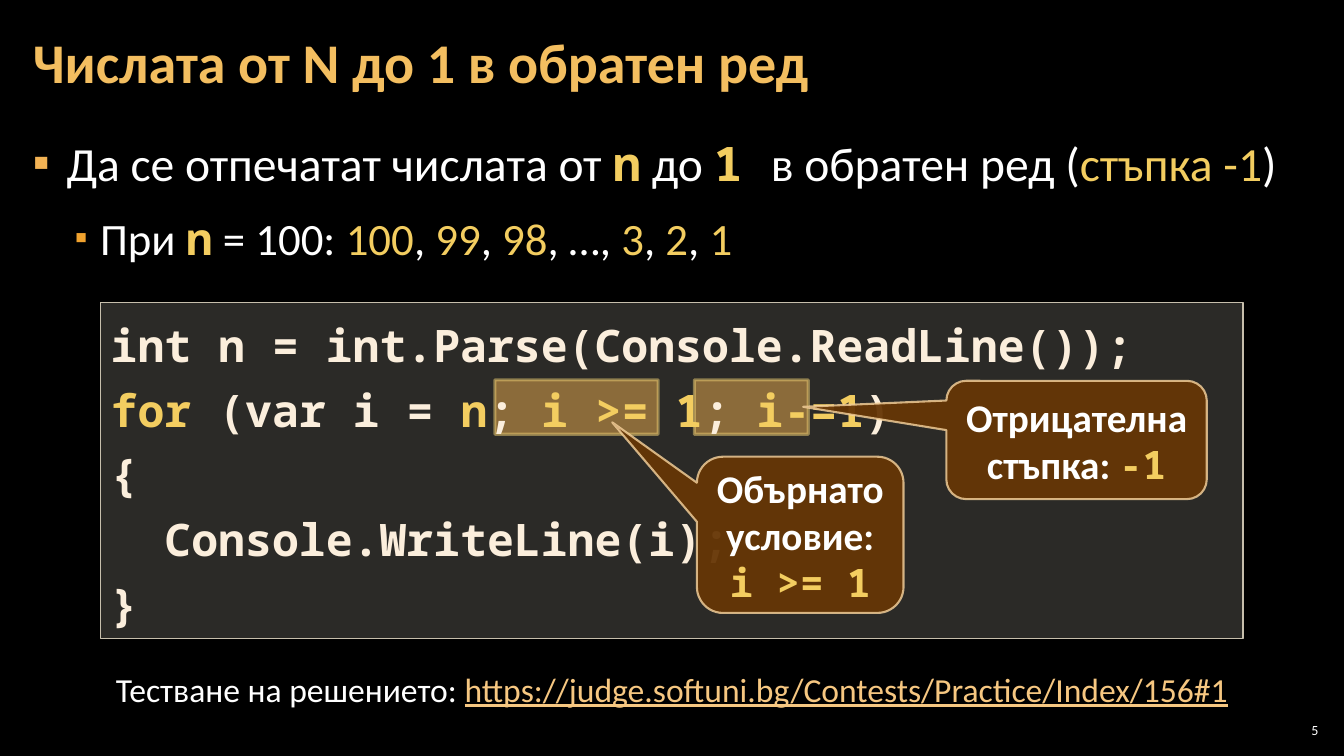
import pptx
import pptx.util
import pptx.dml.color
import pptx.enum.shapes
import pptx.enum.text
import pptx.oxml
import pptx.oxml.ns

Pt = pptx.util.Pt
Shape = pptx.enum.shapes.MSO_SHAPE
Align = pptx.enum.text.PP_ALIGN
Anchor = pptx.enum.text.MSO_ANCHOR
Fit = pptx.enum.text.MSO_AUTO_SIZE

WHITE, YELLOW, CREAM = "FFFFFF", "F3CD60", "FBEEDC"
SANS, MONO = "Calibri", "Noto Sans Mono"


def paint(color_format, color):
    color_format.rgb = pptx.dml.color.RGBColor.from_string(color)


def set_alpha(fill_owner, percent):
    for node in fill_owner.iter(pptx.oxml.ns.qn("a:srgbClr")):
        alpha = node.makeelement(pptx.oxml.ns.qn("a:alpha"), {"val": str(percent * 1000)})
        node.append(alpha)


def apply(target, formats):
    for name, value in formats.items():
        setattr(target, name, value)


def add_bullet(para, color, percent, left, hanging):
    props = para._p.get_or_add_pPr()
    props.set("marL", str(Pt(left)))
    props.set("indent", str(-Pt(hanging)))
    for tag, content in (
        ("buClr", f'<a:srgbClr val="{color}"/>'),
        ("buSzPct", percent * 1000),
        ("buFont", SANS),
        ("buChar", "▪"),
    ):
        attribute = {"buSzPct": "val", "buFont": "typeface", "buChar": "char"}.get(tag)
        start = f"<a:{tag} {pptx.oxml.ns.nsdecls('a')}"
        xml = f'{start} {attribute}="{content}"/>' if attribute else f"{start}>{content}</a:{tag}>"
        props.append(pptx.oxml.parse_xml(xml))


def add_spans(para, spans, formats):
    """Each span is (text, colour) or (text, colour, changed formats)."""
    for text, color, *changes in spans:
        if text == "\n":
            para.add_line_break()
            continue
        span = para.add_run()
        span.text = text
        apply(span.font, {"name": SANS, **formats, **(changes[0] if changes else {})})
        paint(span.font.color, color)


def set_frame(frame, side=7.2, edge=3.6, **formats):
    apply(frame, {
        "word_wrap": True, "auto_size": Fit.NONE, "vertical_anchor": Anchor.TOP,
        "margin_left": Pt(side), "margin_right": Pt(side),
        "margin_top": Pt(edge), "margin_bottom": Pt(edge), **formats,
    })
    return frame


def add_text(page, box, **formats):
    return set_frame(page.shapes.add_textbox(*map(Pt, box)).text_frame, **formats)


def add_panel(page, kind, box, fill, opacity, line, width, line_opacity=100):
    panel = page.shapes.add_shape(kind, *map(Pt, box))
    panel.shadow.inherit = False
    panel.fill.solid()
    paint(panel.fill.fore_color, fill)
    set_alpha(panel._element.spPr, opacity)
    panel.line.width = Pt(width)
    paint(panel.line.color, line)
    set_alpha(panel.line._ln, line_opacity)
    return panel


def add_title(page, box):
    para = add_text(page, box, side=8.5, edge=2.83, vertical_anchor=Anchor.MIDDLE).paragraphs[0]
    para.line_spacing = 0.9
    add_spans(para, [("Числата от N до 1 в обратен ред", "F3BE60")], {"size": Pt(40), "bold": True})


def add_task(page, box):
    code = {"name": MONO, "bold": True}
    example = [("При ", WHITE), ("n", YELLOW, code), (" = 100: ", WHITE)]
    for number, separator in zip(("100", "99", "98", "3", "2", "1"), (", ", ", ", ", …, ", ", ", ", ", "")):
        example.append((number, YELLOW))
        if separator:
            example.append((separator, WHITE))
    task = [
        ("Да се отпечатат числата от ", WHITE), ("n", YELLOW, code), (" до ", WHITE),
        ("1 ", YELLOW, code), ("в обратен ред (", WHITE), ("стъпка -1", YELLOW), (")", WHITE),
    ]
    frame = add_text(page, box, side=8.5, edge=2.83)
    for level, (spans, size, bullet) in enumerate((
        (task, 34, ("F2B254", 100, 24, 24)),
        (example, 32, ("F0A22E", 80, 48, 18)),
    )):
        para = frame.add_paragraph() if level else frame.paragraphs[0]
        apply(para, {"level": level, "line_spacing": 1.05, "space_after": Pt(6)})
        if level:
            para.space_before = Pt(6)
        add_bullet(para, *bullet)
        add_spans(para, spans, {"size": Pt(size)})


def add_code(page, box):
    left, top, width, height = box
    # Highlights behind the condition and the step
    for offset, mark_width in ((281.5, 116.6), (424, 81.4)):
        add_panel(page, Shape.RECTANGLE, (left + offset, top + 55.4, mark_width, 38.9),
                  "F0A22E", 50, YELLOW, 2.25, 50)
    panel = add_panel(page, Shape.RECTANGLE, box, "D9D5C7", 20, "C7BFAC", 1)
    frame = set_frame(panel.text_frame, auto_size=Fit.SHAPE_TO_FIT_TEXT)
    loop = [
        ("for", YELLOW), (" (var i = ", CREAM), ("n", YELLOW), ("; ", CREAM),
        ("i >= 1", YELLOW), ("; ", CREAM), ("i-=1", YELLOW), (")", CREAM),
    ]
    lines = (
        [("int n = int.Parse(Console.ReadLine());", CREAM)], loop, [("{", CREAM)],
        [("  Console.WriteLine(i);", CREAM)], [("}", CREAM)],
    )
    for index, spans in enumerate(lines):
        para = frame.add_paragraph() if index else frame.paragraphs[0]
        apply(para, {"alignment": Align.LEFT, "line_spacing": 1.2})
        add_spans(para, spans, {"name": MONO, "size": Pt(32), "bold": True})


def add_callout(page, box, tip, spans):
    callout = add_panel(page, Shape.ROUNDED_RECTANGULAR_CALLOUT, box, "663606", 95, "F8D49E", 1.5, 80)
    for index, value in enumerate((*tip, 0.167)):
        callout.adjustments[index] = value
    para = set_frame(callout.text_frame, vertical_anchor=Anchor.MIDDLE).paragraphs[0]
    para.alignment = Align.CENTER
    add_spans(para, spans, {"size": Pt(28), "bold": True})


def add_test_link(page, box):
    para = add_text(page, box, auto_size=Fit.SHAPE_TO_FIT_TEXT).paragraphs[0]
    para.alignment = Align.CENTER
    add_spans(para, [
        ("Тестване на решението: ", WHITE),
        ("https://judge.softuni.bg/Contests/Practice/Index/156#1", "F6C781", {"underline": True}),
    ], {"size": Pt(24)})


def add_page_number(page, box):
    para = add_text(page, box, side=2.83, edge=2.83, vertical_anchor=Anchor.MIDDLE).paragraphs[0]
    para.alignment = Align.RIGHT
    add_spans(para, [("5", WHITE)], {"size": Pt(10)})


def main():
    deck = pptx.Presentation()
    deck.slide_width, deck.slide_height = Pt(960), Pt(540)
    page = deck.slides.add_slide(deck.slide_layouts[6])
    page.background.fill.solid()
    paint(page.background.fill.fore_color, "000000")

    add_page_number(page, (910.8, 514, 33.8, 15))
    add_task(page, (15, 90.7, 929.5, 438.5))
    add_title(page, (15, 3, 754, 87))
    add_code(page, (72, 216, 816, 240))
    add_callout(page, (676, 272, 186, 84.5), (-1.05, -0.28),
                [("Отрицателна стъпка: ", WHITE), ("-1", YELLOW, {"name": MONO})])
    add_test_link(page, (60, 474, 840, 36))
    add_callout(page, (497.8, 326.2, 147.6, 111.6), (-0.91, -0.72),
                [("Обърнато условие:", WHITE), ("\n", WHITE), ("i >= 1", YELLOW, {"name": MONO})])

    deck.save("out.pptx")


if __name__ == "__main__":
    main()
